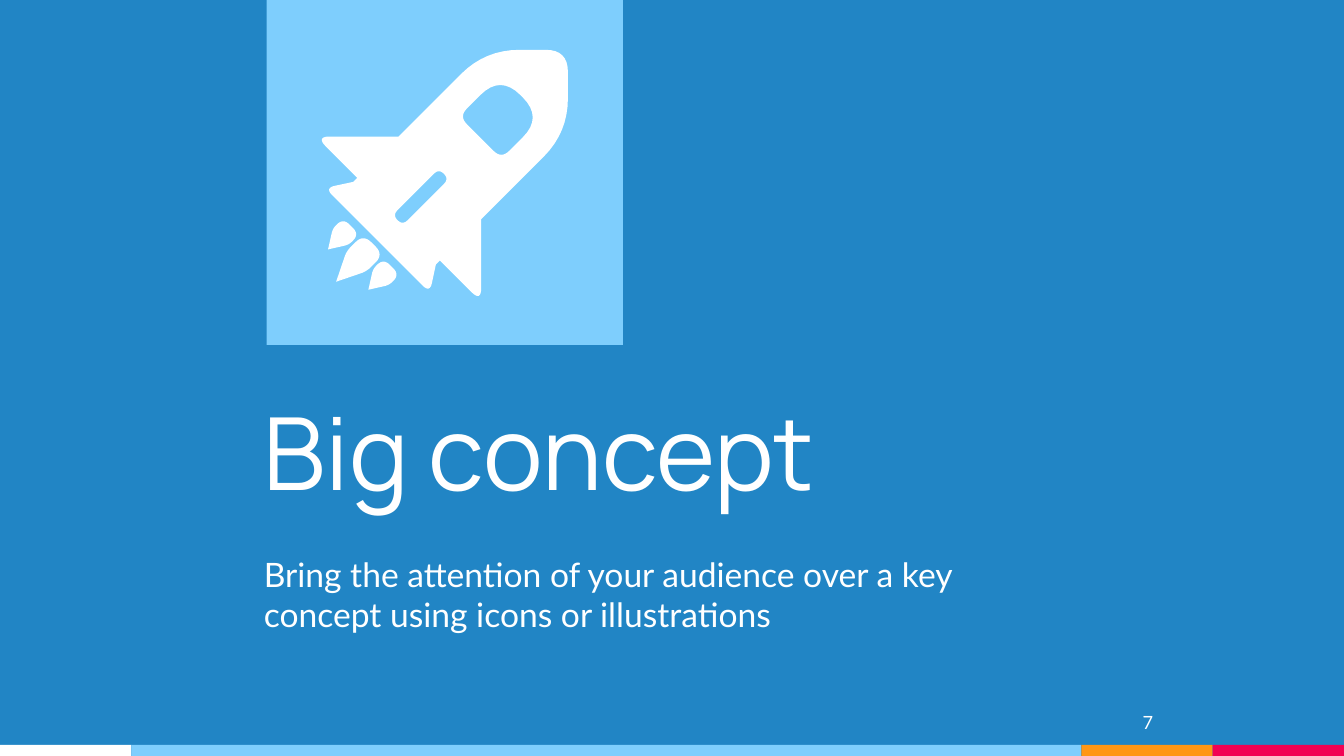
from dataclasses import dataclass
from math import dist
from pptx import Presentation
from pptx.dml.color import RGBColor
from pptx.enum.shapes import MSO_SHAPE
from pptx.enum.text import MSO_ANCHOR, MSO_AUTO_SIZE, PP_ALIGN
from pptx.util import Cm, Pt

RECT = MSO_SHAPE.RECTANGLE
TOP, BOTTOM = MSO_ANCHOR.TOP, MSO_ANCHOR.BOTTOM
LEFT, RIGHT = PP_ALIGN.LEFT, PP_ALIGN.RIGHT
FIXED = MSO_AUTO_SIZE.NONE


@dataclass(frozen=True)
class Theme:
    blue: str = "2185C5"
    sky: str = "7ECEFD"
    white: str = "FFFFFF"
    amber: str = "FF9715"
    red: str = "F20253"
    head: str = "Manrope"
    body: str = "Lato"
    big: int = 72
    mid: int = 24
    small: int = 13


THEME = Theme()
WIDE, HIGH = 33.87, 19.05
UNIT = Cm(2.54) / 100
ORIGIN = 306.5
STEPS = 8

NOSE = (257, 0, 22)
SHOULDER = (216, 41, 34)
ROOT = (130, 41, 0)
WING = (89, 82, 14)
NOTCH = (89, 41, 0)
STEP = (85, 41, 0)
FIN = (68, 52, 10)


def paint(shape, color):
    shape.shadow.inherit = False
    shape.fill.solid()
    shape.fill.fore_color.rgb = RGBColor.from_string(color)
    shape.line.fill.background()


def block(slide, box, color):
    paint(slide.shapes.add_shape(RECT, *map(Cm, box)), color)


def mirror(half):
    return half + [(along, -side, cut)
                   for along, side, cut in reversed(half) if side]


def tilt(along, side):
    return ((ORIGIN + side + along) * UNIT, (ORIGIN + side - along) * UNIT)


def toward(start, end, part):
    return tuple(a + (b - a) * part for a, b in zip(start, end))


def bend(prior, corner, after, cut):
    if not cut:
        return [corner]
    first, last = (toward(corner, end, cut * UNIT / dist(corner, end))
                   for end in (prior, after))
    parts = [step / STEPS for step in range(STEPS + 1)]
    return [toward(toward(first, corner, t), toward(corner, last, t), t)
            for t in parts]


def ring(half, shift=0):
    marks = mirror(half)
    spots = [tilt(along, side + shift) for along, side, cut in marks]
    curve = []
    for i, (along, side, cut) in enumerate(marks):
        after = spots[(i + 1) % len(spots)]
        curve += bend(spots[i - 1], spots[i], after, cut)
    return curve


def outline(slide, rings, color):
    pen = slide.shapes.build_freeform(*rings[0][0])
    pen.add_line_segments(rings[0][1:])
    for loop in rings[1:]:
        pen.move_to(*loop[0])
        pen.add_line_segments(loop[1:])
    paint(pen.convert_to_shape(), color)


def flame(slide, tip, end, half, shift):
    waist = tip + (end - tip) * 0.55
    drop = [(tip, 0, 0), (waist, half, half * 0.6), (end, half, half * 1.1)]
    outline(slide, [ring(drop, shift)], THEME.white)


def rocket(slide):
    hull = ring([NOSE, SHOULDER, ROOT, WING, NOTCH, STEP, FIN])
    window = ring([(211, 21, 28), (170, 21, 11)])
    slot = ring([(134, 5, 7), (88, 5, 7)])
    outline(slide, [hull, window, slot], THEME.white)
    flame(slide, 27, 64, 10, 0)
    for shift in (-20, 20):
        flame(slide, 39, 62, 8, shift)


def write(shape, box, text, size, font, anchor=TOP, align=LEFT, before=0):
    shape.left, shape.top, shape.width, shape.height = map(Cm, box)
    frame = shape.text_frame
    frame.text = text
    frame.word_wrap = True
    frame.auto_size = FIXED
    frame.vertical_anchor = anchor
    frame.margin_left = frame.margin_right = Cm(0.25)
    frame.margin_top = frame.margin_bottom = Cm(0.25)
    para = frame.paragraphs[0]
    para.alignment = align
    para.space_before = Pt(before)
    para.font.size = Pt(size)
    para.font.name = font
    para.font.color.rgb = RGBColor.from_string(THEME.white)


def label(slide, box, *args, **style):
    write(slide.shapes.add_textbox(*map(Cm, box)), box, *args, **style)


def stripe(slide):
    thick, end = 0.28, 3.31
    bands = [(end, THEME.white), (WIDE - 3 * end, THEME.sky),
             (end, THEME.amber), (end, THEME.red)]
    left = 0
    for width, color in bands:
        block(slide, (left, HIGH - thick, width, thick), color)
        left += width


def main():
    deck = Presentation()
    deck.slide_width, deck.slide_height = Cm(WIDE), Cm(HIGH)
    slide = deck.slides.add_slide(deck.slide_layouts[5])
    back = slide.background.fill
    back.solid()
    back.fore_color.rgb = RGBColor.from_string(THEME.blue)
    stripe(slide)
    block(slide, (6.72, 0, 8.98, 8.69), THEME.sky)
    write(slide.shapes.title, (6.4, 8.84, 18.39, 4.29), "Big concept",
          THEME.big, THEME.head, anchor=BOTTOM)
    label(slide, (6.4, 13.71, 18.39, 2.9),
          "Bring the attention of your audience over a key concept "
          "using icons or illustrations",
          THEME.mid, THEME.body, before=6)
    rocket(slide)
    label(slide, (27.79, 17.68, 1.52, 1.17), "7",
          THEME.small, THEME.body, align=RIGHT)
    deck.save("out.pptx")


main()
